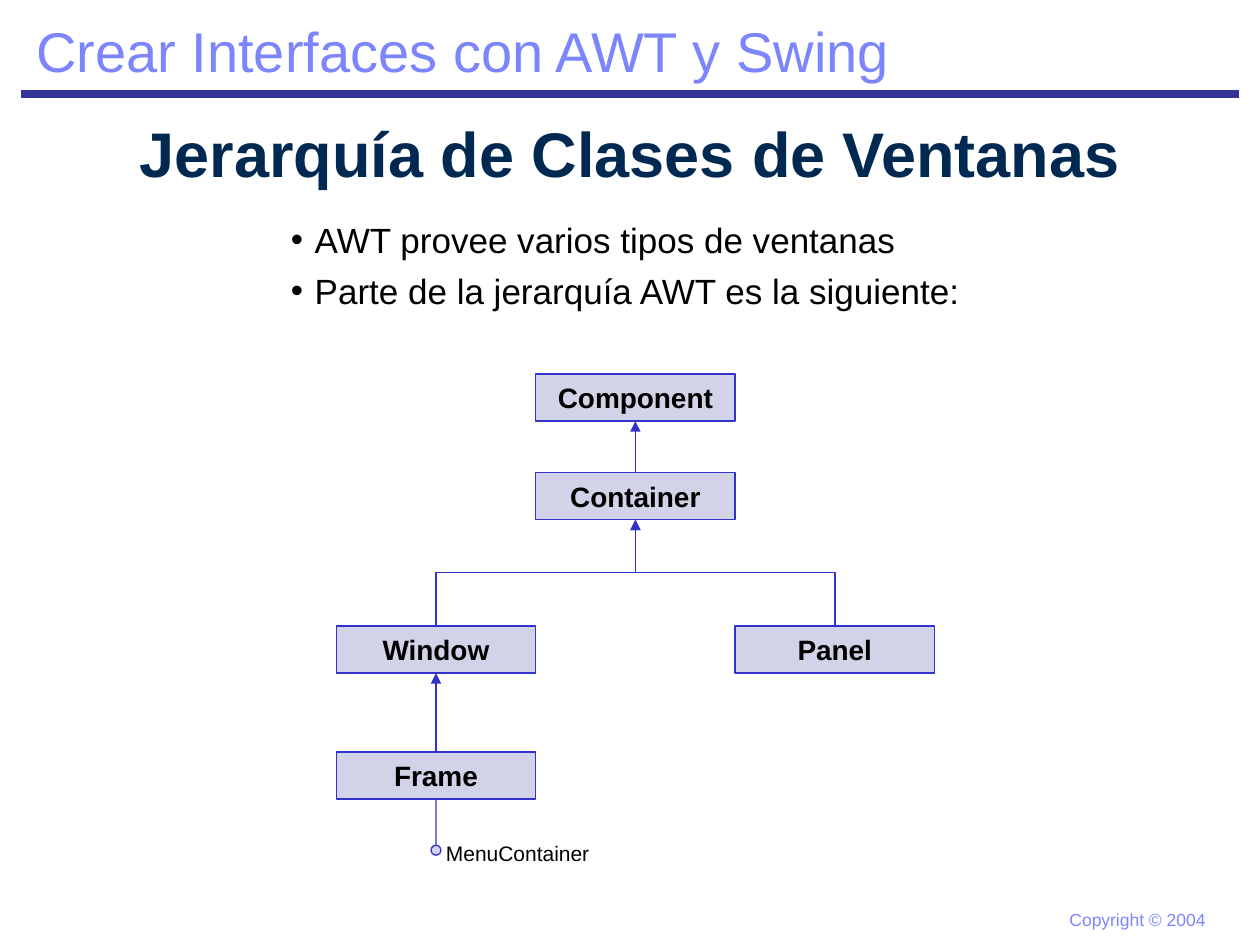
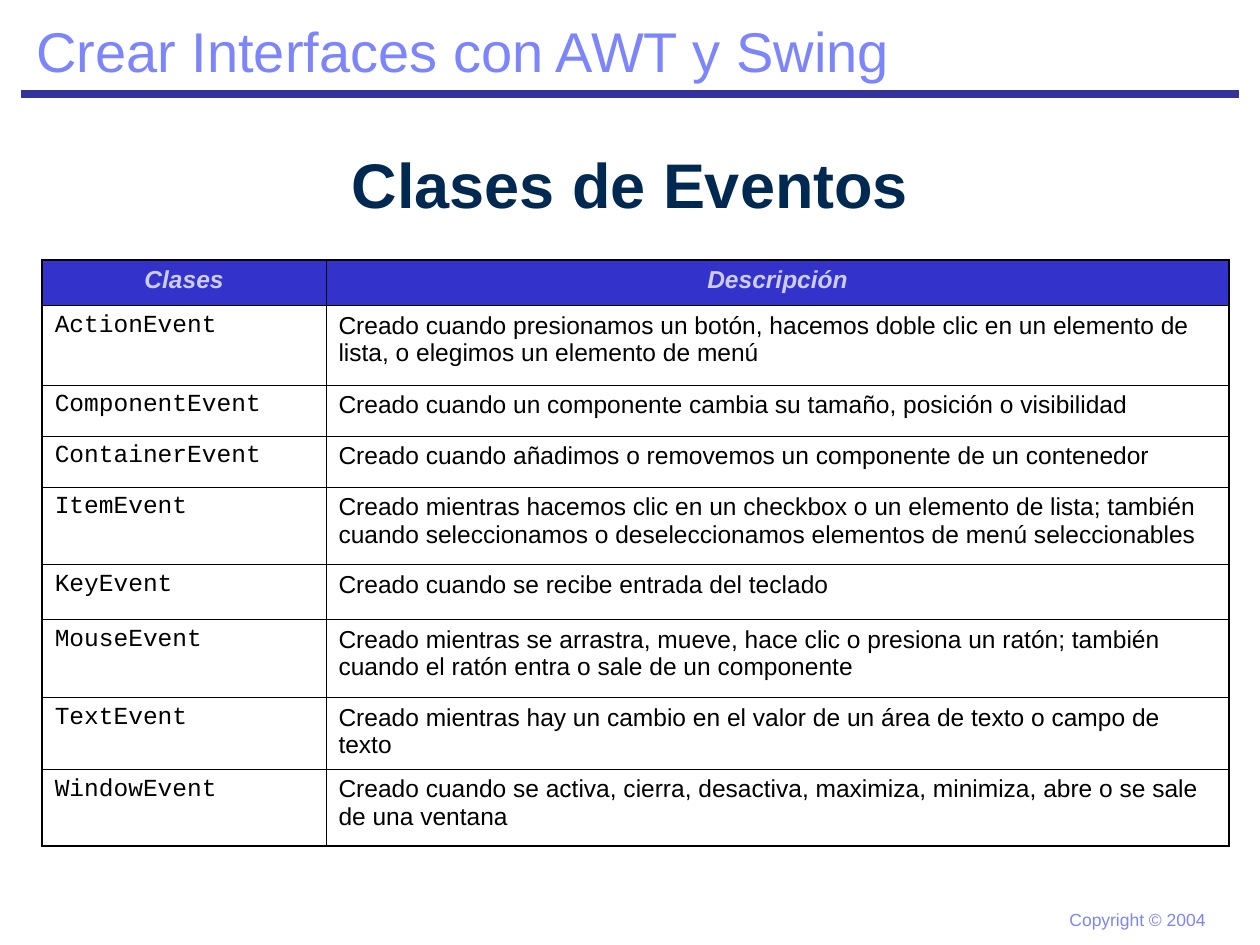
"""Build two slides on AWT windows and event classes."""
from dataclasses import dataclass

from lxml import etree
from pptx import Presentation
from pptx.dml.color import RGBColor
from pptx.enum.shapes import MSO_CONNECTOR, MSO_SHAPE
from pptx.enum.text import MSO_ANCHOR, MSO_AUTO_SIZE, PP_ALIGN
from pptx.oxml.ns import qn
from pptx.util import Cm, Pt

STRAIGHT, ELBOW = MSO_CONNECTOR.STRAIGHT, MSO_CONNECTOR.ELBOW
RECTANGLE, CIRCLE = MSO_SHAPE.RECTANGLE, MSO_SHAPE.FLOWCHART_CONNECTOR
MIDDLE = MSO_ANCHOR.MIDDLE
NO_FIT, GROW = MSO_AUTO_SIZE.NONE, MSO_AUTO_SIZE.SHAPE_TO_FIT_TEXT
LEFT, CENTER = PP_ALIGN.LEFT, PP_ALIGN.CENTER
TOP_SITE, BOTTOM_SITE = 0, 2
TITLE_AND_BODY, TITLE_ONLY = 1, 5


@dataclass(frozen=True)
class Theme:
    """Hold the colours, fonts and sizes of the deck."""
    rule: RGBColor = RGBColor(0x33, 0x33, 0x99)
    accent: RGBColor = RGBColor(0x33, 0x33, 0xCC)
    running: RGBColor = RGBColor(0x7C, 0x85, 0xFC)
    title: RGBColor = RGBColor(0x00, 0x29, 0x52)
    text: RGBColor = RGBColor(0x00, 0x00, 0x00)
    header_text: RGBColor = RGBColor(0xCC, 0xCC, 0xFF)
    node_opacity: int = 22
    sans: str = "Arial"
    mono: str = "Courier New"
    title_size: int = 36
    running_size: int = 32
    body_size: int = 20
    node_size: int = 16
    table_size: int = 14
    label_size: int = 12
    footer_size: int = 10
    rule_width: float = 4.5
    line_width: float = 0.75
    outer_border: float = 1.08
    inner_border: float = 0.45


THEME = Theme()

BULLETS = [
    "AWT provee varios tipos de ventanas",
    "Parte de la jerarquía AWT es la siguiente:",
]

NODE_WIDTH, NODE_HEIGHT = 4.02, 0.95
TREE_LEFT = 6.78
TREE_TOPS = [7.54, 9.53, 12.62, 15.16]
NODES = {
    "Component": (1, 0),
    "Container": (1, 1),
    "Window": (0, 2),
    "Panel": (2, 2),
    "Frame": (0, 3),
}
PARENTS = [
    ("Container", "Component"),
    ("Window", "Container"),
    ("Panel", "Container"),
    ("Frame", "Window"),
]

COLUMN_WIDTHS = [5.72, 18.21]
ROW_HEIGHTS = [0.92, 1.6, 1.03, 1.03, 1.56, 1.11, 1.57, 1.45, 1.55]
EVENTS = [
    ("Clases", "Descripción"),
    ("ActionEvent", "Creado cuando presionamos un botón, hacemos doble clic en un "
     "elemento de lista, o elegimos un elemento de menú"),
    ("ComponentEvent", "Creado cuando un componente cambia su tamaño, posición o visibilidad"),
    ("ContainerEvent", "Creado cuando añadimos o removemos un componente de un contenedor"),
    ("ItemEvent", "Creado mientras hacemos clic en un checkbox o un elemento de lista; "
     "también cuando seleccionamos o deseleccionamos elementos de menú seleccionables"),
    ("KeyEvent", "Creado cuando se recibe entrada del teclado"),
    ("MouseEvent", "Creado mientras se arrastra, mueve, hace clic o presiona un ratón; "
     "también cuando el ratón entra o sale de un componente"),
    ("TextEvent", "Creado mientras hay un cambio en el valor de un área de texto o campo de texto"),
    ("WindowEvent", "Creado cuando se activa, cierra, desactiva, maximiza, minimiza, "
     "abre o se sale de una ventana"),
]


def style(para, size, color, name=THEME.sans, bold=False, italic=False, align=LEFT):
    """Set the font and alignment of a paragraph."""
    para.alignment = align
    font = para.font
    font.name, font.size, font.bold, font.italic = name, Pt(size), bold, italic
    font.color.rgb = color


def place(shape, left, top, width, height):
    """Move and size a shape, in centimetres."""
    shape.left, shape.top, shape.width, shape.height = map(Cm, (left, top, width, height))


def add_label(slide, text, left, top, width, height, size, color):
    """Add a single-line text box."""
    box = slide.shapes.add_textbox(Cm(left), Cm(top), Cm(width), Cm(height))
    frame = box.text_frame
    frame.word_wrap, frame.auto_size = False, GROW
    frame.text = text
    style(frame.paragraphs[0], size, color)


def add_line(slide, kind, start, end, color=THEME.accent, width=THEME.line_width, arrow=False):
    """Add a flat connector between two points, with an optional arrowhead."""
    line = slide.shapes.add_connector(kind, *start, *end)
    line.line.color.rgb, line.line.width = color, Pt(width)
    properties = line.line._get_or_add_ln()
    if arrow:
        etree.SubElement(properties, qn("a:tailEnd"), type="triangle")
    etree.SubElement(properties.getparent(), qn("a:effectLst"))
    return line


def add_link(slide, lower, upper, arrow=True):
    """Glue a straight line from the top of one shape to the bottom of another."""
    line = add_line(slide, STRAIGHT, (0, 0), (0, 0), arrow=arrow)
    line.begin_connect(lower, TOP_SITE)
    line.end_connect(upper, BOTTOM_SITE)


def add_branch(slide, child, parent):
    """Draw a vertical elbow arrow from a child box up to its parent."""
    start_x, end_x = (box.left + box.width // 2 for box in (child, parent))
    start_y, end_y = child.top, parent.top + parent.height
    middle_x, middle_y = (start_x + end_x) // 2, (start_y + end_y) // 2
    side = 1 if start_x < end_x else -1
    reach_x = side * (start_y - middle_y)
    reach_y = side * (middle_x - start_x)
    line = add_line(slide, ELBOW, (middle_x + reach_x, middle_y + reach_y),
                    (middle_x - reach_x, middle_y - reach_y), arrow=True)
    quarter_turn = 90 if side > 0 else 270
    line._element.spPr.find(qn("a:xfrm")).set("rot", str(quarter_turn * 60000))


def add_tinted_shape(slide, kind, left, top, width, height):
    """Add an outlined shape with a translucent fill."""
    shape = slide.shapes.add_shape(kind, Cm(left), Cm(top), Cm(width), Cm(height))
    shape.shadow.inherit = False
    shape.fill.solid()
    shape.fill.fore_color.rgb = THEME.rule
    color = shape._element.spPr.find(qn("a:solidFill"))[0]
    etree.SubElement(color, qn("a:alpha"), val=str(THEME.node_opacity * 1000))
    shape.line.color.rgb, shape.line.width = THEME.accent, Pt(THEME.line_width)
    return shape


def add_node(slide, name, column, row):
    """Add a class box at its place in the tree."""
    box = add_tinted_shape(slide, RECTANGLE, TREE_LEFT + column * NODE_WIDTH,
                           TREE_TOPS[row], NODE_WIDTH, NODE_HEIGHT)
    frame = box.text_frame
    frame.text, frame.vertical_anchor = name, MIDDLE
    style(frame.paragraphs[0], THEME.node_size, THEME.text, bold=True, align=CENTER)
    return box


def add_page(deck, layout, title, title_top):
    """Add a slide with the running head, rule, footer and title."""
    slide = deck.slides.add_slide(deck.slide_layouts[layout])
    add_line(slide, STRAIGHT, (Cm(0.42), Cm(1.9)), (Cm(24.98), Cm(1.9)),
             THEME.rule, THEME.rule_width)
    add_label(slide, "Copyright © 2004", 21.31, 18.2, 3.25, 0.69,
              THEME.footer_size, THEME.running)
    add_label(slide, "Crear Interfaces con AWT y Swing", 0.48, 0.2, 17.83, 1.63,
              THEME.running_size, THEME.running)
    heading = slide.shapes.title
    place(heading, 0, title_top, 25.4, 1.9)
    frame = heading.text_frame
    frame.text, frame.vertical_anchor, frame.auto_size = title, MIDDLE, NO_FIT
    style(frame.paragraphs[0], THEME.title_size, THEME.title, bold=True, align=CENTER)
    return slide


def fill_bullets(body, items):
    """Write a bulleted list into the body placeholder."""
    place(body, 5.61, 4.44, 14.5, 1.98)
    frame = body.text_frame
    frame.text, frame.auto_size = "\n".join(items), NO_FIT
    for index, para in enumerate(frame.paragraphs):
        properties = para._p.get_or_add_pPr()
        properties.set("marL", str(Cm(0.48)))
        properties.set("indent", str(-Cm(0.48)))
        para.line_spacing = 0.8
        para.space_before = Pt(10 if index else 0)
        style(para, THEME.body_size, THEME.text)


def set_borders(cell, widths):
    """Draw the left, right, top and bottom borders of a cell."""
    properties = cell._tc.get_or_add_tcPr()
    for side, width in zip("LRTB", widths):
        line = etree.SubElement(properties, qn(f"a:ln{side}"), w=str(Pt(width)))
        fill = etree.SubElement(line, qn("a:solidFill"))
        etree.SubElement(fill, qn("a:srgbClr"), val=str(THEME.text))


def add_event_table(slide):
    """Add the table of event classes."""
    rows, columns = len(EVENTS), len(COLUMN_WIDTHS)
    table = slide.shapes.add_table(rows, columns, Cm(0.85), Cm(5.24),
                                   Cm(sum(COLUMN_WIDTHS)), Cm(sum(ROW_HEIGHTS))).table
    table.first_row = table.horz_banding = False
    for column, width in zip(table.columns, COLUMN_WIDTHS):
        column.width = Cm(width)
    for row, (texts, height) in enumerate(zip(EVENTS, ROW_HEIGHTS)):
        table.rows[row].height = Cm(height)
        for column, text in enumerate(texts):
            cell = table.cell(row, column)
            cell.text = text
            at_edge = (column == 0, column == columns - 1, row == 0, row == rows - 1)
            set_borders(cell, [THEME.outer_border if edge else THEME.inner_border
                               for edge in at_edge])
            para = cell.text_frame.paragraphs[0]
            if row == 0:
                cell.fill.solid()
                cell.fill.fore_color.rgb = THEME.accent
                style(para, THEME.table_size, THEME.header_text,
                      bold=True, italic=True, align=CENTER)
            else:
                cell.fill.background()
                style(para, THEME.table_size, THEME.text,
                      THEME.sans if column else THEME.mono)


def add_class_tree(slide):
    """Draw the window class hierarchy and the interface of Frame."""
    boxes = {name: add_node(slide, name, *spot) for name, spot in NODES.items()}
    for child, parent in PARENTS:
        same_column = NODES[child][0] == NODES[parent][0]
        connect = add_link if same_column else add_branch
        connect(slide, boxes[child], boxes[parent])
    ring = add_tinted_shape(slide, CIRCLE, 8.69, 17.04, 0.2, 0.2)
    add_link(slide, ring, boxes["Frame"], arrow=False)
    add_label(slide, "MenuContainer", 8.74, 16.82, 3.4, 0.76, THEME.label_size, THEME.text)


def main():
    """Build and save the deck."""
    deck = Presentation()
    deck.slide_width, deck.slide_height = Cm(25.4), Cm(19.05)
    hierarchy = add_page(deck, TITLE_AND_BODY, "Jerarquía de Clases de Ventanas", 2.12)
    fill_bullets(hierarchy.placeholders[1], BULLETS)
    add_class_tree(hierarchy)
    events = add_page(deck, TITLE_ONLY, "Clases de Eventos", 2.75)
    add_event_table(events)
    deck.save("out.pptx")


if __name__ == "__main__":
    main()
